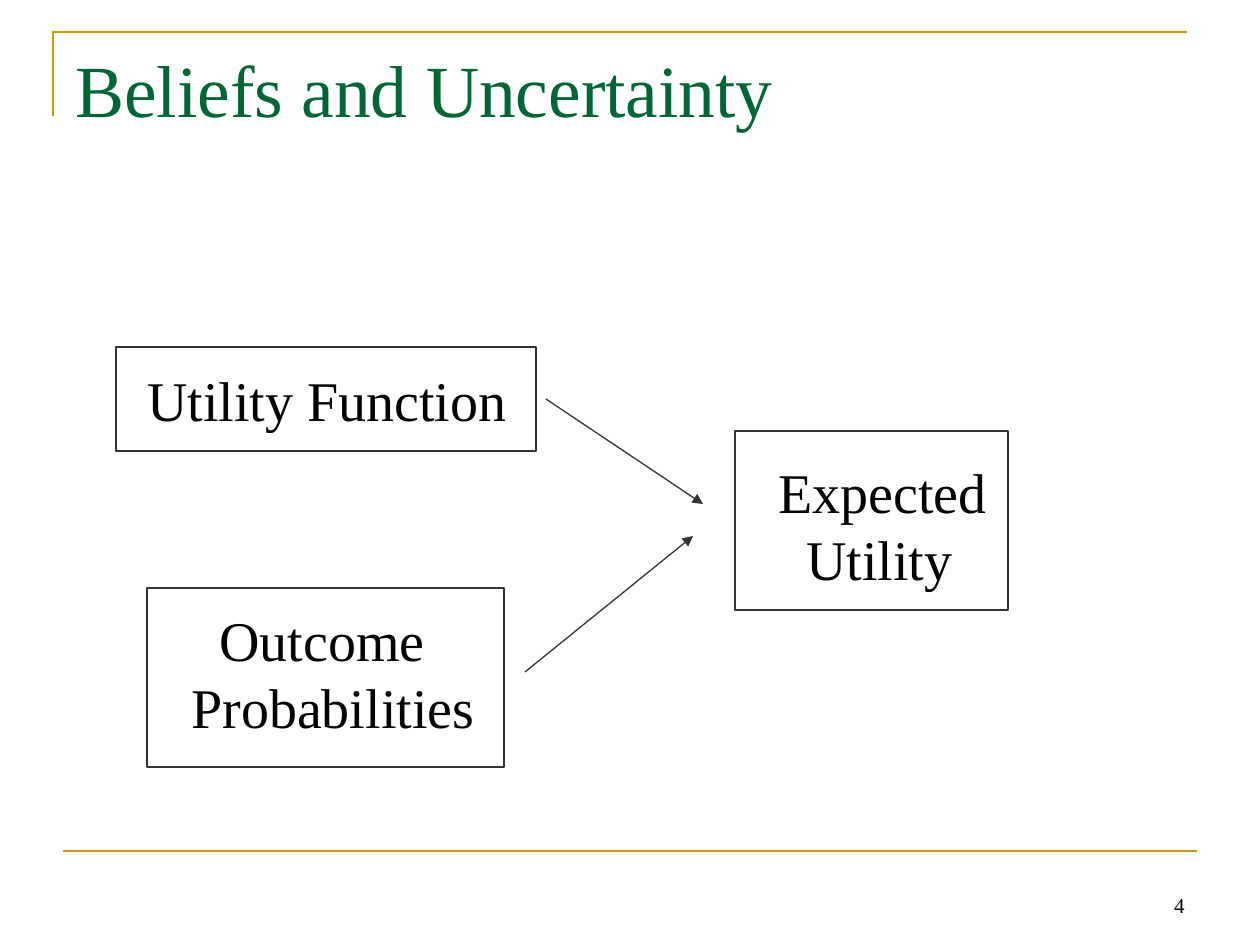
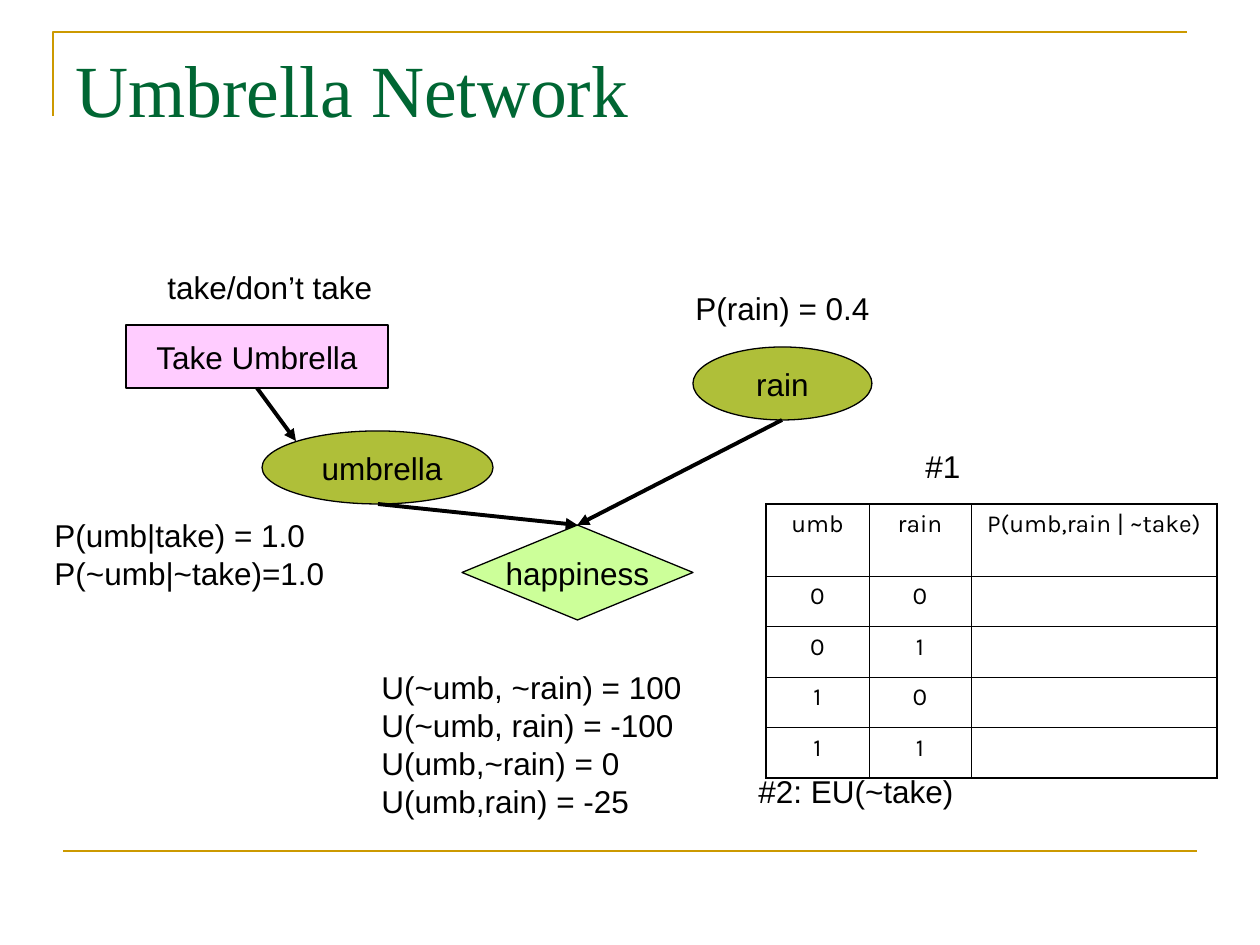
from itertools import product

from lxml import etree
from pptx import Presentation
from pptx.dml.color import RGBColor
from pptx.enum.shapes import MSO_CONNECTOR, MSO_SHAPE
from pptx.enum.text import MSO_ANCHOR, PP_ALIGN
from pptx.oxml.ns import qn
from pptx.util import Pt

PX = 914400 / 126
SERIF, SANS, TABLE_FONT = "Times New Roman", "Arial", "Karla"
BLACK, INK, GRAY = "000000", "030305", "333333"
GOLD, GREEN = "CC9900", "006633"
OLIVE, PINK, LIME = "AFBF39", "FFCCFF", "CCFF99"
BOTTOM, TOP = 2, 0


def px(*lengths):
    """Turn lengths in px into EMU."""
    return [round(v * PX) for v in lengths]


def rgb(color):
    """Turn a hex string into a colour."""
    return RGBColor.from_string(color)


def write(tf, text, size=18, font=SANS, color=BLACK, align=PP_ALIGN.LEFT,
          anchor=MSO_ANCHOR.TOP, wrap=False, indents=()):
    """Fill a text frame, one paragraph per line, with optional left indents."""
    tf.word_wrap, tf.vertical_anchor = wrap, anchor
    indents = dict(indents)
    for i, line in enumerate(text.split("\n")):
        p = tf.paragraphs[0] if i == 0 else tf.add_paragraph()
        p.alignment = align
        if i in indents:
            p._p.get_or_add_pPr().set("marL", str(px(indents[i])[0]))
        r = p.add_run()
        r.text = line
        r.font.size, r.font.name = Pt(size), font
        r.font.color.rgb = rgb(color)


def add_text(s, box, text, **fmt):
    """Add a text box."""
    write(s.shapes.add_textbox(*px(*box)).text_frame, text, **fmt)


def style(sp, line, width=0.75, fill=None):
    """Set the outline and fill of a shape and drop its shadow."""
    sp.shadow.inherit = False
    sp.line.color.rgb, sp.line.width = rgb(line), Pt(width)
    if fill:
        sp.fill.solid()
        sp.fill.fore_color.rgb = rgb(fill)
    else:
        sp.fill.background()


def add_line(s, start, end, color, width, arrow=False):
    """Add a straight line, with a triangle at its end if it is an arrow."""
    sp = s.shapes.add_connector(MSO_CONNECTOR.STRAIGHT, *px(*start, *end))
    sp.line.color.rgb, sp.line.width = rgb(color), Pt(width)
    if arrow:
        etree.SubElement(sp.line._get_or_add_ln(), qn("a:tailEnd"), type="triangle")
    etree.SubElement(sp._element.spPr, qn("a:effectLst"))
    return sp


def add_base(prs, title):
    """Add a slide with the gold bracket, the bottom rule and the title."""
    s = prs.slides.add_slide(prs.slide_layouts[6])
    fb = s.shapes.build_freeform(*px(53, 116))
    fb.add_line_segments([px(53, 32), px(1187, 32)], close=False)
    style(fb.convert_to_shape(), GOLD, 1.5)
    add_line(s, (63, 851), (1197, 851), GOLD, 1.5)
    add_text(s, (63, 38, 1134, 158), title, size=42, font=SERIF, color=GREEN, wrap=True)
    return s


def add_page_number(s, number):
    """Add the page number at the bottom right."""
    add_text(s, (903, 861, 294, 63), number, size=12, font=SERIF,
             align=PP_ALIGN.RIGHT, anchor=MSO_ANCHOR.BOTTOM, wrap=True)


def add_concept(s, box, label, text, indents=()):
    """Add an outlined box and its label, offset from the box's corner."""
    x, y, w, h = box
    dx, dy, label_w, label_h = label
    add_text(s, (x + dx, y + dy, label_w, label_h), text, size=32, font=SERIF,
             color=INK, indents=indents)
    style(s.shapes.add_shape(MSO_SHAPE.RECTANGLE, *px(*box)), GRAY)


def add_node(s, kind, box, text, fill, indents=()):
    """Add a filled network node with a centred label."""
    sp = s.shapes.add_shape(kind, *px(*box))
    style(sp, BLACK, fill=fill)
    write(sp.text_frame, text, align=PP_ALIGN.CENTER, anchor=MSO_ANCHOR.MIDDLE,
          indents=indents)
    return sp


def set_borders(cell, outer):
    """Draw a cell's borders, heavier on the sides named in outer."""
    tcPr = cell._tc.get_or_add_tcPr()
    for side in "LRTB":
        width = Pt(1.08 if side in outer else 0.45)
        ln = etree.SubElement(tcPr, qn(f"a:ln{side}"), w=str(width))
        fill = etree.SubElement(ln, qn("a:solidFill"))
        etree.SubElement(fill, qn("a:srgbClr"), val=BLACK)


def add_probability_table(s, x, y):
    """Add the table of umbrella and rain outcomes, its last column empty."""
    rows = [("umb", "rain", "P(umb,rain | ~take)")]
    rows += [(a, b, "") for a, b in product("01", repeat=2)]
    widths, heights = (103, 102, 246), (72, 43, 43, 43, 43)
    box = px(x, y, sum(widths), sum(heights))
    table = s.shapes.add_table(len(rows), len(widths), *box).table
    table.first_row = table.horz_banding = False
    for col, w in zip(table.columns, px(*widths)):
        col.width = w
    for row, h in zip(table.rows, px(*heights)):
        row.height = h
    last_row, last_col = len(heights) - 1, len(widths) - 1
    for i, j in product(range(len(heights)), range(len(widths))):
        cell = table.cell(i, j)
        edges = {"T": i == 0, "B": i == last_row, "L": j == 0, "R": j == last_col}
        set_borders(cell, [side for side, on in edges.items() if on])
        cell.fill.background()
        if rows[i][j]:
            write(cell.text_frame, rows[i][j], size=14, font=TABLE_FONT,
                  align=PP_ALIGN.CENTER, wrap=True)


def beliefs_slide(prs):
    """Build the slide on how beliefs lead to expected utility."""
    s = add_base(prs, "Beliefs and Uncertainty")
    add_page_number(s, "4")
    add_concept(s, (116, 347, 420, 104), (19, 12, 396, 80), "Utility Function")
    add_concept(s, (147, 588, 357, 179), (32, 11, 320, 147),
                "Outcome\nProbabilities", indents={0: 28})
    add_concept(s, (735, 431, 273, 179), (31, 20, 242, 147),
                "Expected\nUtility", indents={1: 28})
    add_line(s, (546, 399), (703, 504), GRAY, 0.75, arrow=True)
    add_line(s, (525, 672), (693, 536), GRAY, 0.75, arrow=True)


def add_network(s):
    """Add the decision network: its nodes, arrows and probabilities."""
    add_node(s, MSO_SHAPE.OVAL, (693, 347, 179, 73), "rain", OLIVE)
    take = add_node(s, MSO_SHAPE.RECTANGLE, (126, 325, 262, 63), "Take Umbrella", PINK)
    happiness = add_node(s, MSO_SHAPE.FLOWCHART_DECISION, (462, 525, 231, 95),
                         "happiness", LIME)
    add_node(s, MSO_SHAPE.OVAL, (262, 431, 231, 73), "umbrella", OLIVE, indents={0: 9})
    for start in ((782, 420), (378, 504)):
        arrow = add_line(s, start, (578, 525), BLACK, 2.25, arrow=True)
        arrow.end_connect(happiness, TOP)
    arrow = add_line(s, (257, 388), (296, 441), BLACK, 2.25, arrow=True)
    arrow.begin_connect(take, BOTTOM)
    add_text(s, (155, 262, 240, 50), "take/don’t take")
    add_text(s, (683, 283, 210, 50), "P(rain) = 0.4")
    add_text(s, (42, 510, 306, 88), "P(umb|take) = 1.0\nP(~umb|~take)=1.0")
    add_text(s, (369, 662, 337, 164),
             "U(~umb, ~rain) = 100\nU(~umb, rain) = -100\n"
             "U(umb,~rain) = 0\nU(umb,rain) = -25")


def umbrella_slide(prs):
    """Build the slide with the umbrella network and its exercise."""
    s = add_base(prs, "Umbrella Network")
    add_network(s)
    add_probability_table(s, 766, 504)
    add_text(s, (913, 441, 84, 50), "#1", wrap=True)
    add_text(s, (746, 766, 283, 50), "#2: EU(~take)", wrap=True)


def main():
    """Build and save the presentation."""
    prs = Presentation()
    prs.slide_width, prs.slide_height = px(1260, 945)
    beliefs_slide(prs)
    umbrella_slide(prs)
    prs.save("out.pptx")


if __name__ == "__main__":
    main()
